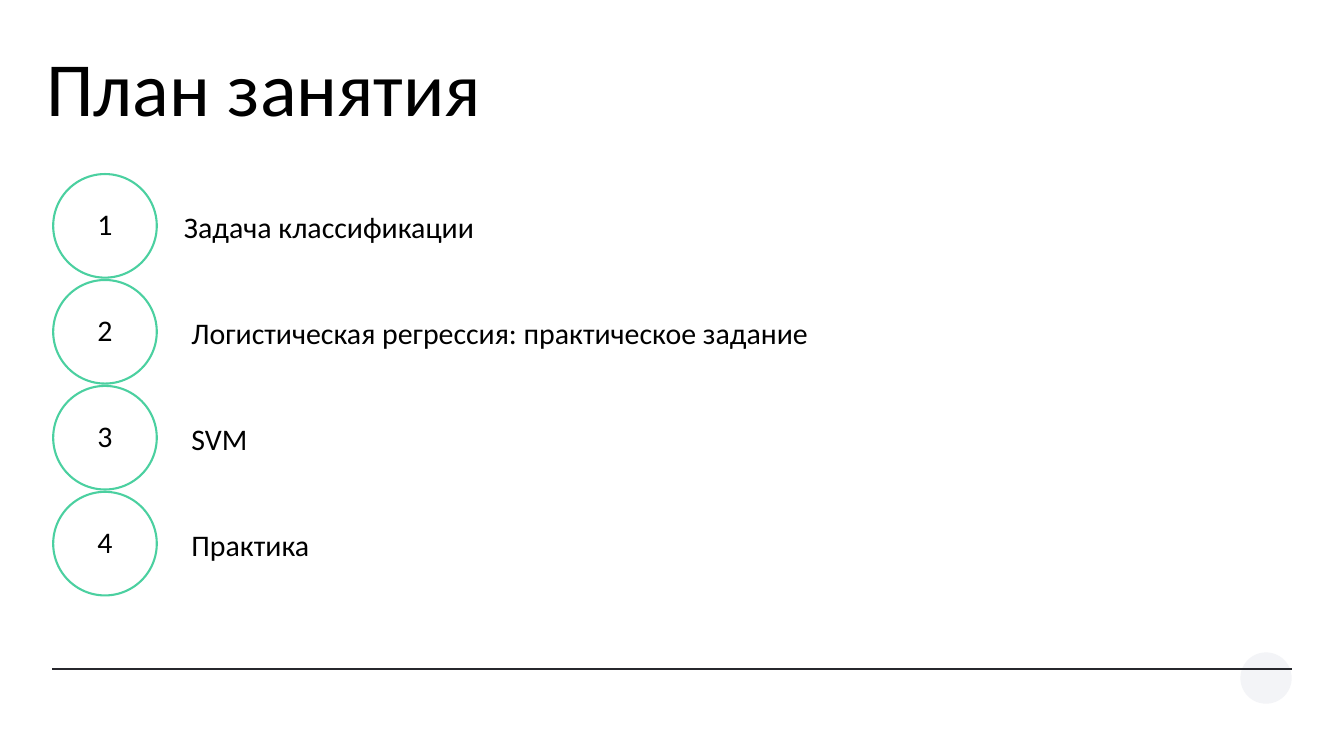
from dataclasses import dataclass

from pptx import Presentation
from pptx.dml.color import RGBColor
from pptx.enum.shapes import MSO_CONNECTOR, MSO_SHAPE
from pptx.enum.text import MSO_ANCHOR, MSO_AUTO_SIZE, PP_ALIGN
from pptx.oxml.ns import qn
from pptx.util import Pt
from lxml.etree import SubElement


@dataclass(frozen=True)
class Theme:
    font: str = "Calibri"
    ink: RGBColor = RGBColor(0x00, 0x00, 0x00)
    accent: RGBColor = RGBColor(0x4B, 0xD0, 0xA0)
    rule: RGBColor = RGBColor(0x27, 0x28, 0x2D)
    pale: RGBColor = RGBColor(0xF3, 0xF4, 0xF7)
    title_size: float = 82
    body_size: float = 32
    inset: float = 7.2


class PlanSlide:
    def __init__(self, slide, theme):
        self.slide = slide
        self.theme = theme

    def set_text(self, frame, text, size, align=PP_ALIGN.LEFT, anchor=MSO_ANCHOR.TOP, inset=None):
        """Fill a text frame with one paragraph in the theme's style."""
        inset = self.theme.inset if inset is None else inset
        frame.text = text
        frame.word_wrap = True
        frame.auto_size = MSO_AUTO_SIZE.NONE
        frame.vertical_anchor = anchor
        frame.margin_left = frame.margin_right = Pt(inset)
        frame.margin_top = frame.margin_bottom = Pt(inset)
        paragraph = frame.paragraphs[0]
        paragraph.alignment = align
        font = paragraph.runs[0].font
        font.name = self.theme.font
        font.size = Pt(size)
        font.color.rgb = self.theme.ink

    def title(self, text, left, top, width, height):
        heading = self.slide.shapes.title
        heading.left, heading.top = Pt(left), Pt(top)
        heading.width, heading.height = Pt(width), Pt(height)
        self.set_text(heading.text_frame, text, self.theme.title_size)
        heading.text_frame.paragraphs[0].line_spacing = 0.8

    def circle(self, left, top, diameter):
        ring = self.slide.shapes.add_shape(
            MSO_SHAPE.OVAL, Pt(left), Pt(top), Pt(diameter), Pt(diameter))
        ring.shadow.inherit = False
        return ring

    def emblem(self, left, top, diameter):
        disc = self.circle(left, top, diameter)
        disc.fill.solid()
        disc.fill.fore_color.rgb = self.theme.pale
        disc.line.fill.background()

    def number(self, value, left, top, diameter):
        ring = self.circle(left, top, diameter)
        ring.fill.background()
        ring.line.color.rgb = self.theme.accent
        ring.line.width = Pt(2.25)
        self.set_text(ring.text_frame, str(value), self.theme.body_size,
                      PP_ALIGN.CENTER, MSO_ANCHOR.MIDDLE, inset=0)
        ring.text_frame.margin_bottom = Pt(5)

    def label(self, text, left, top, width, height):
        box = self.slide.shapes.add_textbox(Pt(left), Pt(top), Pt(width), Pt(height))
        self.set_text(box.text_frame, text, self.theme.body_size)

    def rule(self, left, right, y):
        line = self.slide.shapes.add_connector(
            MSO_CONNECTOR.STRAIGHT, Pt(left), Pt(y), Pt(right), Pt(y))
        line.line.color.rgb = self.theme.rule
        line.line.width = Pt(1.5)
        SubElement(line._element.spPr, qn("a:effectLst"))


def main():
    presentation = Presentation()
    presentation.slide_width, presentation.slide_height = Pt(1440), Pt(810)
    title_only = presentation.slide_layouts[5]
    plan = PlanSlide(presentation.slides.add_slide(title_only), Theme())

    plan.emblem(1329, 699, 55)
    plan.rule(56, 1384, 717)
    plan.title("План занятия", 42.5, 54.7, 1358, 98.6)

    topics = [
        ("Задача классификации", 190),
        ("Логистическая регрессия: практическое задание", 198),
        ("SVM", 198),
        ("Практика", 198),
    ]
    first_top, pitch, diameter = 186.5, 113.5, 111
    for index, (topic, topic_left) in enumerate(topics):
        top = first_top + index * pitch
        plan.number(index + 1, 57, top, diameter)
        plan.label(topic, topic_left, top + 30.3, 874, 50.4)

    presentation.save("out.pptx")


if __name__ == "__main__":
    main()
